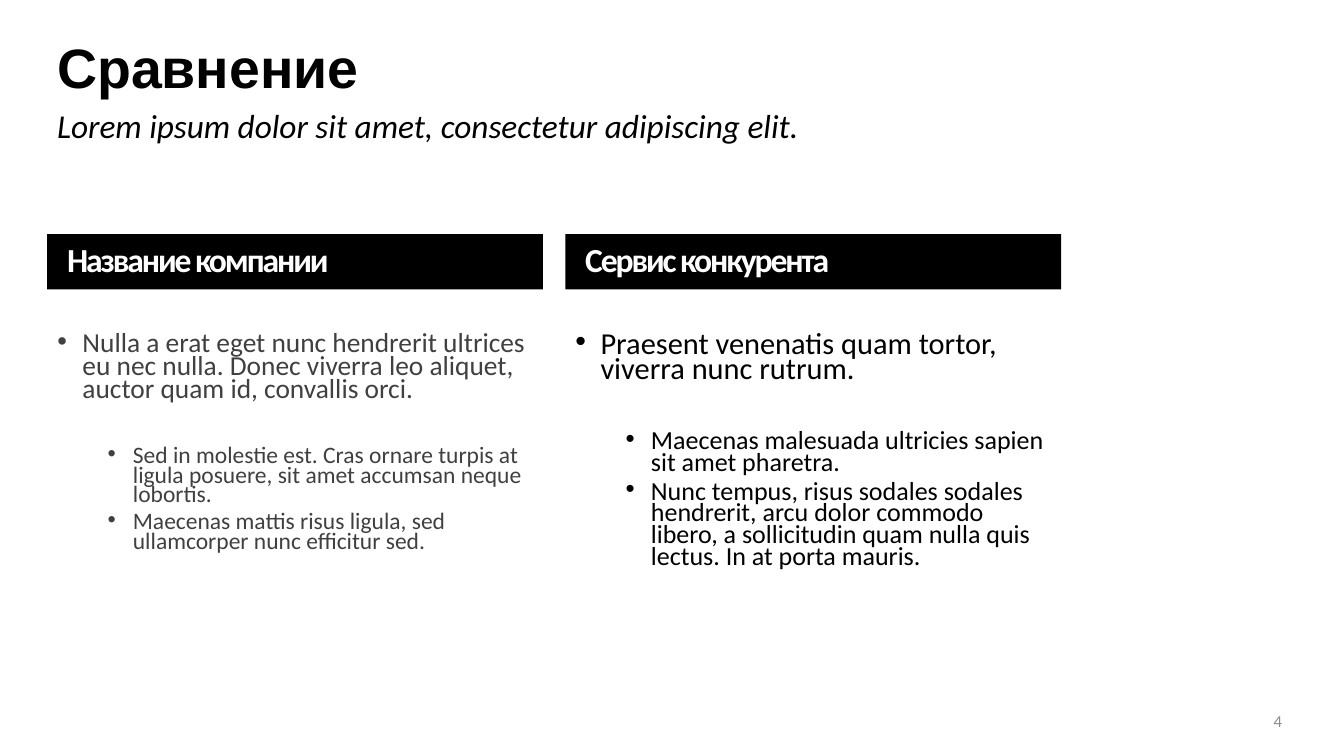
from lxml import etree
from pptx import Presentation
from pptx import util as u
from pptx.dml.color import RGBColor
from pptx.enum import text
from pptx.oxml.ns import qn

LEFT, WIDTH, GAP = 1.19, 25.55, 0.56
COL_W = (WIDTH - GAP) / 2


def rgb(hex_color):
    return RGBColor.from_string(hex_color)


def place(sp, x, y, w, h, anchor):
    """Set the box and the text frame basics; return the frame."""
    sp.left, sp.top, sp.width, sp.height = map(u.Cm, (x, y, w, h))
    tf = sp.text_frame
    tf.auto_size = text.MSO_AUTO_SIZE.NONE
    tf.word_wrap = True
    tf.vertical_anchor = anchor
    return tf


def style(p, size, color, spacing=0.9, before=0, font="Calibri",
          bold=False, italic=False, align=text.PP_ALIGN.LEFT):
    p.line_spacing, p.space_before, p.alignment = spacing, u.Pt(before), align
    for r in p.runs:
        r.font.name, r.font.size = font, u.Pt(size)
        r.font.bold, r.font.italic = bold, italic
        r.font.color.rgb = rgb(color)


def bullet(p, margin):
    pPr = p._p.get_or_add_pPr()
    pPr.set("marL", str(u.Cm(margin)))
    pPr.set("indent", str(u.Cm(-0.635)))
    etree.SubElement(pPr, qn("a:buFont")).set("typeface", "Arial")
    etree.SubElement(pPr, qn("a:buChar")).set("char", "•")


def add_heading(s, x, y, w):
    # Title
    tf = place(s.shapes.title, x, y, w, 1.19, text.MSO_ANCHOR.MIDDLE)
    tf.text = "Сравнение"
    style(tf.paragraphs[0], 39.6, "000000", font="Arial", bold=True)
    # Subtitle
    sp = s.shapes.add_textbox(0, 0, 0, 0)
    tf = place(sp, x, y + 1.6, w, 1, text.MSO_ANCHOR.TOP)
    tf.text = "Lorem ipsum dolor sit amet, consectetur adipiscing elit."
    style(tf.paragraphs[0], 23.8, "000000", 0.7, 10, italic=True)


def add_column(header, body, x, y, w, name, items, size, sub_size, color):
    # Black header bar
    tf = place(header, x, y, w, 1.39, text.MSO_ANCHOR.MIDDLE)
    header.fill.solid()
    header.fill.fore_color.rgb = rgb("000000")
    tf.margin_left, tf.margin_top = u.Cm(0.5), u.Cm(0.1)
    tf.text = name
    p = tf.paragraphs[0]
    style(p, 24, "FFFFFF", before=10, bold=True)
    p.runs[0].font._element.set("spc", "-150")
    # One main point, then its sub-points after a wider gap
    tf = place(body, x, y + 2.39, w, 7.01, text.MSO_ANCHOR.TOP)
    tf.text = "\n".join(items)
    for i, p in enumerate(tf.paragraphs):
        p.level = min(i, 1)
        before = (10, 15 + 0.85 * size)[i] if i < 2 else 5
        style(p, sub_size if i else size, color, 0.7, before)
        bullet(p, 1.905 if i else 0.635)


def add_page_number(s, x, y, side):
    sp = s.shapes.add_textbox(0, 0, 0, 0)
    tf = place(sp, x, y, side, side, text.MSO_ANCHOR.MIDDLE)
    tf.text = "4"
    style(tf.paragraphs[0], 12, "8C8C8C", 1.0, align=text.PP_ALIGN.RIGHT)


def main():
    prs = Presentation()
    prs.slide_width, prs.slide_height = u.Cm(33.87), u.Cm(19.05)
    s = prs.slides.add_slide(prs.slide_layouts.get_by_name("Comparison"))
    add_heading(s, LEFT, 1.19, WIDTH)
    columns = [
        ("Название компании",
         ["Nulla a erat eget nunc hendrerit ultrices eu nec nulla. "
          "Donec viverra leo aliquet, auctor quam id, convallis orci.",
          "Sed in molestie est. Cras ornare turpis at ligula posuere, "
          "sit amet accumsan neque lobortis.",
          "Maecenas mattis risus ligula, sed ullamcorper nunc efficitur sed."],
         19.6, 16.8, "404040"),
        ("Сервис конкурента",
         ["Praesent venenatis quam tortor, viverra nunc rutrum.",
          "Maecenas malesuada ultricies sapien sit amet pharetra.",
          "Nunc tempus, risus sodales sodales hendrerit, arcu dolor commodo "
          "libero, a sollicitudin quam nulla quis lectus. In at porta mauris."],
         21.7, 18.6, "000000"),
    ]
    ph = s.placeholders
    for i, column in enumerate(columns):
        add_column(ph[1 + 2 * i], ph[2 + 2 * i],
                   LEFT + i * (COL_W + GAP), 5.9, COL_W, *column)
    add_page_number(s, 31.8, 17.78, 0.76)
    prs.save("out.pptx")


if __name__ == "__main__":
    main()
